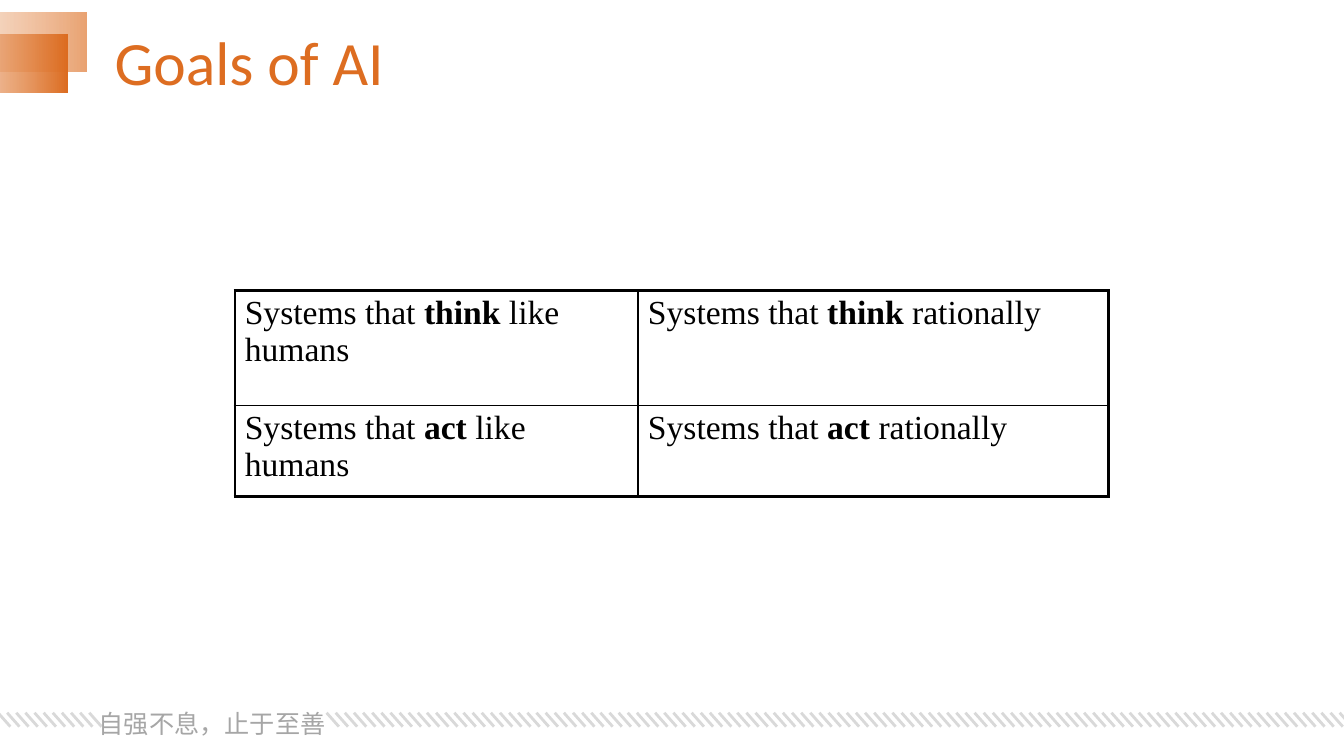
from dataclasses import dataclass

from lxml import etree
from pptx import Presentation
from pptx import util as u
from pptx.dml.color import RGBColor as Rgb
from pptx.enum import shapes, text
from pptx.oxml import ns

Cm, Pt = u.Cm, u.Pt


@dataclass
class Theme:
    main: str = "DD6D21"
    soft: str = "EAA372"
    white: str = "FFFFFF"
    hatch: str = "D9D9D9"
    motto: str = "A6A6A6"
    ink: str = "000000"
    title_size: int = 44
    table_size: int = 24
    motto_size: int = 18


theme = Theme()


def add_tag(parent, tag, **attrs):
    return etree.SubElement(parent, ns.qn(tag), attrs)


def set_font(para, name, size, color):
    para.font.name = name
    para.font.size = Pt(size)
    para.font.color.rgb = Rgb.from_string(color)


deck = Presentation()
deck.slide_width, deck.slide_height = Cm(33.87), Cm(19.05)
slide = deck.slides.add_slide(deck.slide_layouts[6])

# Corner bars fading in from the left edge
for left, top, color, alpha in [
    (-4.04, 0.32, theme.soft, "25000"),
    (-4.52, 0.86, theme.main, "0"),
]:
    bar = slide.shapes.add_shape(
        shapes.MSO_SHAPE.RECTANGLE, Cm(left), Cm(top), Cm(6.22), Cm(1.48))
    bar.shadow.inherit = False
    bar.line.fill.background()
    bar.fill.gradient()
    bar.fill.gradient_angle = 0
    for stop, tone in zip(bar.fill.gradient_stops, (theme.white, color)):
        stop.color.rgb = Rgb.from_string(tone)
    add_tag(bar._element.xpath(".//a:gs/a:srgbClr")[0], "a:alpha", val=alpha)

# Hatched footer on both sides of the motto
for start, count in [(-0.05, 11), (8.23, 112)]:
    band = slide.shapes.add_group_shape()
    for i in range(count):
        x = start + i * 0.23
        dash = band.shapes.add_connector(
            shapes.MSO_CONNECTOR.STRAIGHT,
            Cm(x), Cm(17.96), Cm(x + 0.31), Cm(18.31))
        dash.line.color.rgb = Rgb.from_string(theme.hatch)
        dash.line.width = Pt(2)
        add_tag(dash._element.spPr, "a:effectLst")

# Motto
box = slide.shapes.add_textbox(Cm(2.24), Cm(17.35), Cm(6.25), Cm(1.32))
box.text_frame.word_wrap = True
para = box.text_frame.paragraphs[0]
para.text = "自强不息，止于至善"
para.alignment = text.PP_ALIGN.JUSTIFY
para.line_spacing = 1.5
set_font(para, "Noto Sans CJK JP", theme.motto_size, theme.motto)
add_tag(para.font._element, "a:ea", typeface="Noto Sans CJK JP")

# Title
box = slide.shapes.add_textbox(Cm(2.64), Cm(0.28), Cm(29.21), Cm(2.72))
box.text_frame.word_wrap = True
box.text_frame.vertical_anchor = text.MSO_ANCHOR.MIDDLE
para = box.text_frame.paragraphs[0]
para.text = "Goals of AI"
para.line_spacing = 0.9
set_font(para, "Calibri", theme.title_size, theme.main)

# Table of goals: thick frame, thin inner lines
verbs = ["think", "act"]
manners = ["like humans", "rationally"]
widths, heights = [10.16, 11.86], [2.9, 2.29]
frame = slide.shapes.add_table(
    2, 2, Cm(5.92), Cm(7.32), Cm(sum(widths)), Cm(sum(heights)))
table = frame.table
table.first_row = table.horz_banding = False
for c, width in enumerate(widths):
    table.columns[c].width = Cm(width)
for r, verb in enumerate(verbs):
    table.rows[r].height = Cm(heights[r])
    for c, manner in enumerate(manners):
        cell = table.cell(r, c)
        cell.margin_left = cell.margin_right = Cm(0.25)
        cell.margin_top, cell.margin_bottom = Cm(0.1), 0
        para = cell.text_frame.paragraphs[0]
        set_font(para, "Times New Roman", theme.table_size, theme.ink)
        for part in ("Systems that ", verb + " ", manner):
            run = para.add_run()
            run.text = part
            run.font.bold = part == verb + " "
        props = cell._tc.get_or_add_tcPr()
        for side, outer in zip("LRTB", (c == 0, c == 1, r == 0, r == 1)):
            edge = add_tag(props, "a:ln" + side, w=str(Pt(2.25 if outer else 1)))
            add_tag(add_tag(edge, "a:solidFill"), "a:srgbClr", val=theme.ink)
        cell.fill.background()

deck.save("out.pptx")
